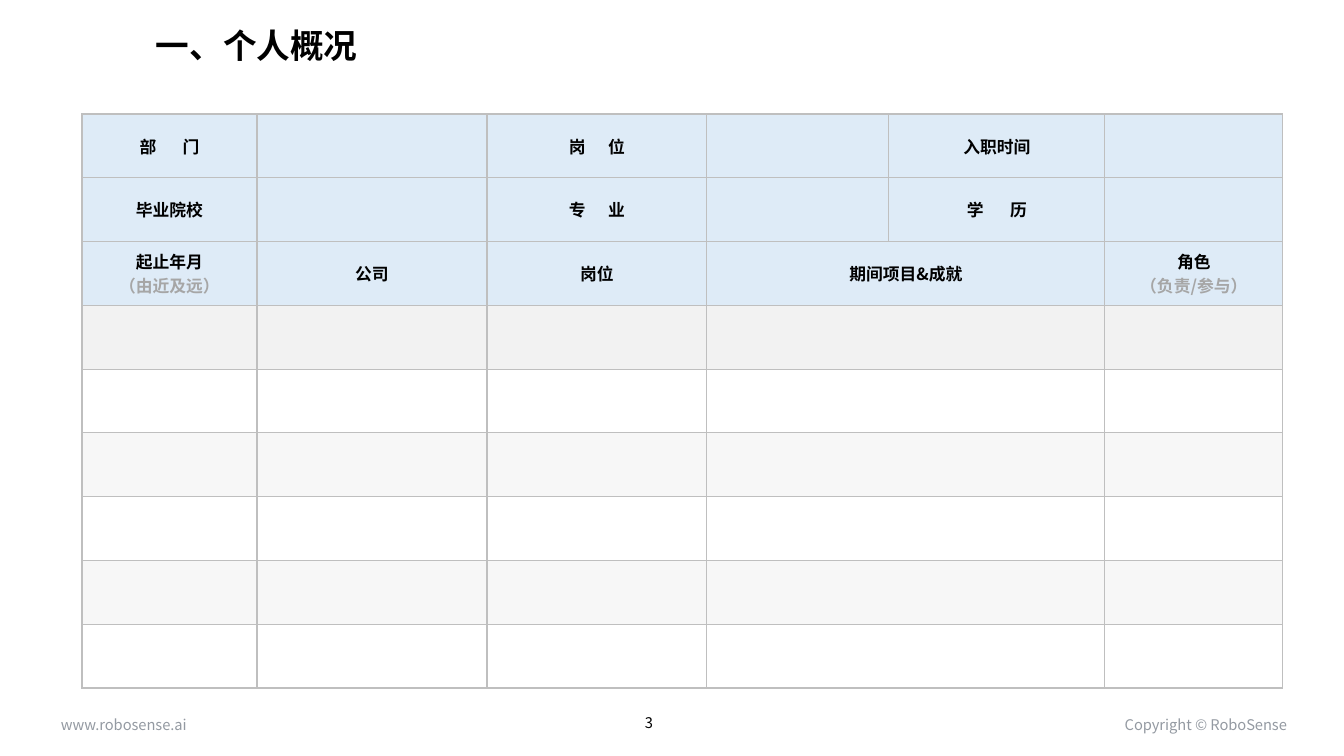
from lxml import etree
from pptx import Presentation, util as u
from pptx.dml.color import RGBColor
from pptx.enum import text
from pptx.oxml import ns

PX = 914400 / 100.8
AL = text.PP_ALIGN
BLACK, GREY, HINT, BORDER = "000000", "949AA2", "A6A6A6", "BFBFBF"
BLUE, LIGHT, STRIPE = "DEEBF7", "F2F2F2", "D9D9D9"


def px(n):
    return round(n * PX)


def color(value):
    return RGBColor.from_string(value)


class SlideBuilder:
    font = "Noto Sans CJK SC"

    def __init__(self, slide):
        self.s = slide

    def run(self, p, words, size, fill, bold=False, spacing=0):
        r = p.add_run()
        r.text = words
        r.font.size = u.Pt(size)
        r.font.bold = bold
        r.font.name = self.font
        r.font.color.rgb = color(fill)
        rpr = r.font._element
        etree.SubElement(rpr, ns.qn("a:ea"), typeface=self.font)
        if spacing:
            rpr.set("spc", str(spacing))

    def label(self, box, words, size, fill, align=AL.LEFT, bold=False,
              middle=False, wrap=True, line=1.0):
        tf = self.s.shapes.add_textbox(*map(px, box)).text_frame
        tf.word_wrap = wrap
        if middle:
            tf.vertical_anchor = text.MSO_ANCHOR.MIDDLE
        p = tf.paragraphs[0]
        p.alignment = align
        p.line_spacing = line
        self.run(p, words, size, fill, bold)

    def table(self, left, top, widths, height, rows):
        frame = self.s.shapes.add_table(
            rows, len(widths), px(left), px(top), px(sum(widths)), px(height))
        tbl = frame.table
        tbl.first_row = tbl.horz_banding = False
        for col, width in zip(tbl.columns, widths):
            col.width = px(width)
        for row in tbl.rows:
            row.height = px(height) // rows
        return tbl

    def cell(self, cell, fill=None, alpha=100):
        cell.margin_left = cell.margin_right = 0
        cell.margin_top = cell.margin_bottom = 0
        cell.vertical_anchor = text.MSO_ANCHOR.MIDDLE
        tcpr = cell._tc.get_or_add_tcPr()
        for side in ("lnL", "lnR", "lnT", "lnB"):
            ln = etree.SubElement(tcpr, ns.qn(f"a:{side}"), w=str(u.Pt(1)))
            solid = etree.SubElement(ln, ns.qn("a:solidFill"))
            etree.SubElement(solid, ns.qn("a:srgbClr"), val=BORDER)
        if fill is None:
            cell.fill.background()
            return
        cell.fill.solid()
        cell.fill.fore_color.rgb = color(fill)
        if alpha < 100:
            clr = tcpr.find(ns.qn("a:solidFill")).find(ns.qn("a:srgbClr"))
            etree.SubElement(clr, ns.qn("a:alpha"), val=str(alpha * 1000))

    def heading(self, cell, words, hint="", spacing=0):
        tf = cell.text_frame
        p = tf.paragraphs[0]
        p.alignment = AL.CENTER
        if spacing:
            first, last = words.split()
            self.run(p, first, 12, BLACK, True)
            self.run(p, " ", 12, BLACK, True, spacing)
            self.run(p, last, 12, BLACK, True)
        else:
            self.run(p, words, 12, BLACK, True)
        if hint:
            p = tf.add_paragraph()
            p.alignment = AL.CENTER
            self.run(p, hint, 12, HINT, True)


def main():
    prs = Presentation()
    prs.slide_width, prs.slide_height = px(1344), px(756)
    b = SlideBuilder(prs.slides.add_slide(prs.slide_layouts[6]))

    b.label((51, 711, 148, 28), "www.robosense.ai", 10.5, GREY, wrap=False)
    b.label((1097, 711, 200, 28), "Copyright © RoboSense", 10.5, GREY, AL.RIGHT)
    b.label((146, 12, 1137, 71), "一、个人概况", 24, BLACK, bold=True,
            middle=True, line=0.9)
    b.label((575, 701, 148, 43), "3", 10.5, BLACK, AL.CENTER, middle=True)

    tbl = b.table(82, 114, (175, 230, 220, 182, 216, 178), 574, 9)
    row_fills = [(BLUE,)] * 3 + [(LIGHT,), ()] + [(STRIPE, 20), ()] * 2
    for i, row_fill in enumerate(row_fills):
        for j in range(len(tbl.columns)):
            b.cell(tbl.cell(i, j), *row_fill)
        if i >= 2:
            tbl.cell(i, 3).merge(tbl.cell(i, 4))

    wide, narrow = 1610, 1340
    headings = {
        (0, 0): ("部 门", "", wide),
        (0, 2): ("岗 位", "", narrow),
        (0, 4): ("入职时间",),
        (1, 0): ("毕业院校",),
        (1, 2): ("专 业", "", narrow),
        (1, 4): ("学 历", "", wide),
        (2, 0): ("起止年月", "（由近及远）"),
        (2, 1): ("公司",),
        (2, 2): ("岗位",),
        (2, 3): ("期间项目&成就",),
        (2, 5): ("角色", "（负责/参与）"),
    }
    for place, heading in headings.items():
        b.heading(tbl.cell(*place), *heading)

    prs.save("out.pptx")


if __name__ == "__main__":
    main()
